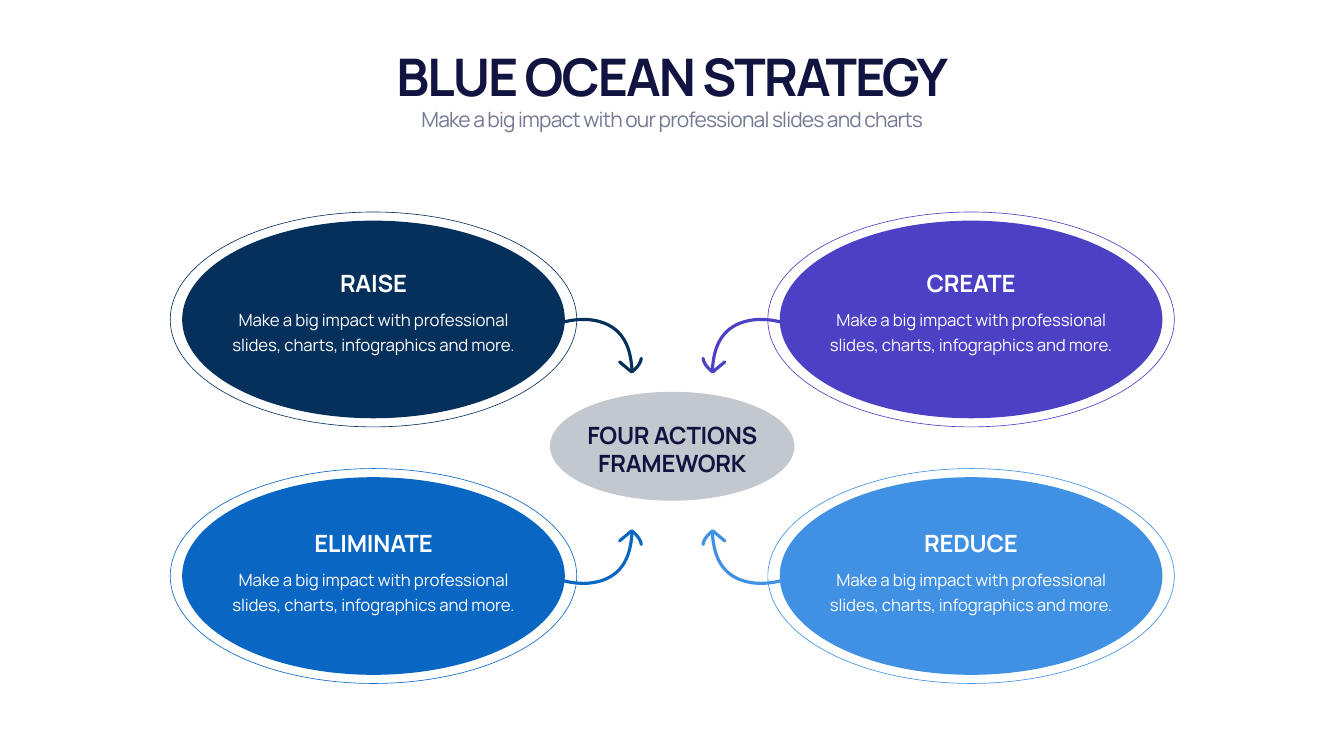
import dataclasses
import typing

import pptx
import pptx.dml.color
import pptx.enum.shapes
import pptx.enum.text
import pptx.oxml
import pptx.oxml.ns
import pptx.util

Cm = pptx.util.Cm
Pt = pptx.util.Pt
RGBColor = pptx.dml.color.RGBColor
Anchor = pptx.enum.text.MSO_ANCHOR
Point = tuple[float, float]

NAVY = RGBColor(0x06, 0x30, 0x5C)
BLUE = RGBColor(0x0A, 0x66, 0xC3)
PURPLE = RGBColor(0x4C, 0x40, 0xC5)
SKY = RGBColor(0x40, 0x91, 0xE3)
SILVER = RGBColor(0xC3, 0xC8, 0xCE)
INK = RGBColor(0x11, 0x13, 0x40)
SLATE = RGBColor(0x74, 0x79, 0x94)
WHITE = RGBColor(0xFF, 0xFF, 0xFF)

FONT = "Manrope"
PAGE_WIDTH, PAGE_HEIGHT = 67.72, 38.1
MIDDLE_X, ARROW_MIDDLE_Y = 33.87, 22.75
HUB_Y = 22.49
TEXT_WIDTH = 16.1
CURVE_STEPS = 12
SUMMARY = "Make a big impact with professional slides, charts, infographics and more."

SHAFT_START = (28.07, 16.33)
SHAFT = [
    [(28.5, 16.18), (28.96, 16.1), (29.41, 16.1)],
    [(30.07, 16.1), (30.76, 16.31), (31.19, 16.78)],
    [(31.65, 17.27), (31.8, 17.93), (31.85, 18.69)],
]
HEAD_START = (31.22, 18.24)
HEAD_TIP = (31.83, 18.75)
HEAD_BARB = [[(32.05, 18.57), (32.28, 18.34), (32.31, 18.06)]]


@dataclasses.dataclass(frozen=True)
class Action:
    title: str
    color: RGBColor
    center_x: float
    center_y: float
    title_top: float
    mirror_x: bool
    mirror_y: bool


ACTIONS = [
    Action("RAISE", NAVY, 18.82, 16.1, 13.39, False, False),
    Action("ELIMINATE", BLUE, 18.82, 29.03, 26.52, False, True),
    Action("CREATE", PURPLE, 48.93, 16.1, 13.39, True, False),
    Action("REDUCE", SKY, 48.93, 29.03, 26.52, True, True),
]


def add_text(page: typing.Any, text: str, *, center_x: float, top: float,
             width: float, height: float, size: float, color: RGBColor,
             bold: bool = False, tracking: float = 0,
             anchor: typing.Any = Anchor.TOP,
             line_spacing: float | None = None) -> None:
    box = page.shapes.add_textbox(Cm(center_x - width / 2), Cm(top), Cm(width), Cm(height))
    frame = box.text_frame
    frame.word_wrap = True
    frame.auto_size = pptx.enum.text.MSO_AUTO_SIZE.SHAPE_TO_FIT_TEXT
    frame.vertical_anchor = anchor
    para = frame.paragraphs[0]
    para.alignment = pptx.enum.text.PP_ALIGN.CENTER
    if line_spacing:
        para.line_spacing = Pt(line_spacing)
    span = para.add_run()
    span.text = text
    span.font.name = FONT
    span.font.size = Pt(size)
    span.font.bold = bold
    span.font.color.rgb = color
    span._r.get_or_add_rPr().set("spc", str(round(tracking * 100)))


def add_ellipse(page: typing.Any, center_x: float, center_y: float, width: float,
                height: float, color: RGBColor, outline_only: bool = False) -> None:
    ellipse = page.shapes.add_shape(
        pptx.enum.shapes.MSO_SHAPE.OVAL,
        Cm(center_x - width / 2), Cm(center_y - height / 2), Cm(width), Cm(height))
    ellipse.shadow.inherit = False
    if outline_only:
        ellipse.fill.background()
        ellipse.line.color.rgb = color
        ellipse.line.width = Pt(0.9)
    else:
        ellipse.fill.solid()
        ellipse.fill.fore_color.rgb = color
        ellipse.line.fill.background()


def trace_curves(start: Point, curves: list[list[Point]]) -> list[Point]:
    points = [start]
    for first, second, end in curves:
        origin = points[-1]
        for step in range(1, CURVE_STEPS + 1):
            t = step / CURVE_STEPS
            weights = ((1 - t) ** 3, 3 * t * (1 - t) ** 2, 3 * t * t * (1 - t), t ** 3)
            corners = (origin, first, second, end)
            points.append((sum(w * x for w, (x, _) in zip(weights, corners)),
                           sum(w * y for w, (_, y) in zip(weights, corners))))
    return points


def add_arrow(page: typing.Any, action: Action) -> None:
    def place(point: Point) -> tuple[int, int]:
        x, y = point
        return (Cm(2 * MIDDLE_X - x if action.mirror_x else x),
                Cm(2 * ARROW_MIDDLE_Y - y if action.mirror_y else y))

    shaft = [place(point) for point in trace_curves(SHAFT_START, SHAFT)]
    head = [place(point) for point in [HEAD_START, *trace_curves(HEAD_TIP, HEAD_BARB)]]
    builder = page.shapes.build_freeform(*shaft[0])
    builder.add_line_segments(shaft[1:], close=False)
    builder.move_to(*head[0])
    builder.add_line_segments(head[1:], close=False)
    arrow = builder.convert_to_shape()
    arrow.shadow.inherit = False
    arrow.fill.background()
    arrow.line.color.rgb = action.color
    arrow.line.width = Pt(4.5)
    line = arrow._element.spPr.find(pptx.oxml.ns.qn("a:ln"))
    line.set("cap", "rnd")
    line.append(pptx.oxml.parse_xml(f"<a:round {pptx.oxml.ns.nsdecls('a')}/>"))


def add_action(page: typing.Any, action: Action) -> None:
    add_ellipse(page, action.center_x, action.center_y, 19.28, 9.96, action.color)
    add_ellipse(page, action.center_x, action.center_y, 20.48, 10.83, action.color,
                outline_only=True)
    add_arrow(page, action)
    add_text(page, action.title, center_x=action.center_x, top=action.title_top,
             width=TEXT_WIDTH, height=1.7, size=34, color=WHITE, bold=True,
             tracking=-0.3, anchor=Anchor.BOTTOM)
    add_text(page, SUMMARY, center_x=action.center_x, top=action.title_top + 1.82,
             width=TEXT_WIDTH, height=2.77, size=24, color=WHITE, tracking=-0.2,
             line_spacing=36)


def main() -> None:
    deck = pptx.Presentation()
    deck.slide_width, deck.slide_height = Cm(PAGE_WIDTH), Cm(PAGE_HEIGHT)
    page = deck.slides.add_slide(deck.slide_layouts[6])
    add_ellipse(page, MIDDLE_X, HUB_Y, 12.32, 5.49, SILVER)
    for action in ACTIONS:
        add_action(page, action)
    add_text(page, "BLUE OCEAN STRATEGY", center_x=MIDDLE_X, top=2.08, width=59.26,
             height=3.43, size=74, color=INK, bold=True, tracking=-2.9,
             anchor=Anchor.BOTTOM)
    add_text(page, "Make a big impact with our professional slides and charts",
             center_x=MIDDLE_X, top=5.26, width=59.26, height=1.55, size=30,
             color=SLATE, tracking=-1.2)
    add_text(page, "FOUR ACTIONS FRAMEWORK", center_x=MIDDLE_X, top=21.03, width=9.5,
             height=3.18, size=34, color=INK, bold=True, tracking=-0.3,
             anchor=Anchor.MIDDLE)
    deck.save("out.pptx")


if __name__ == "__main__":
    main()
